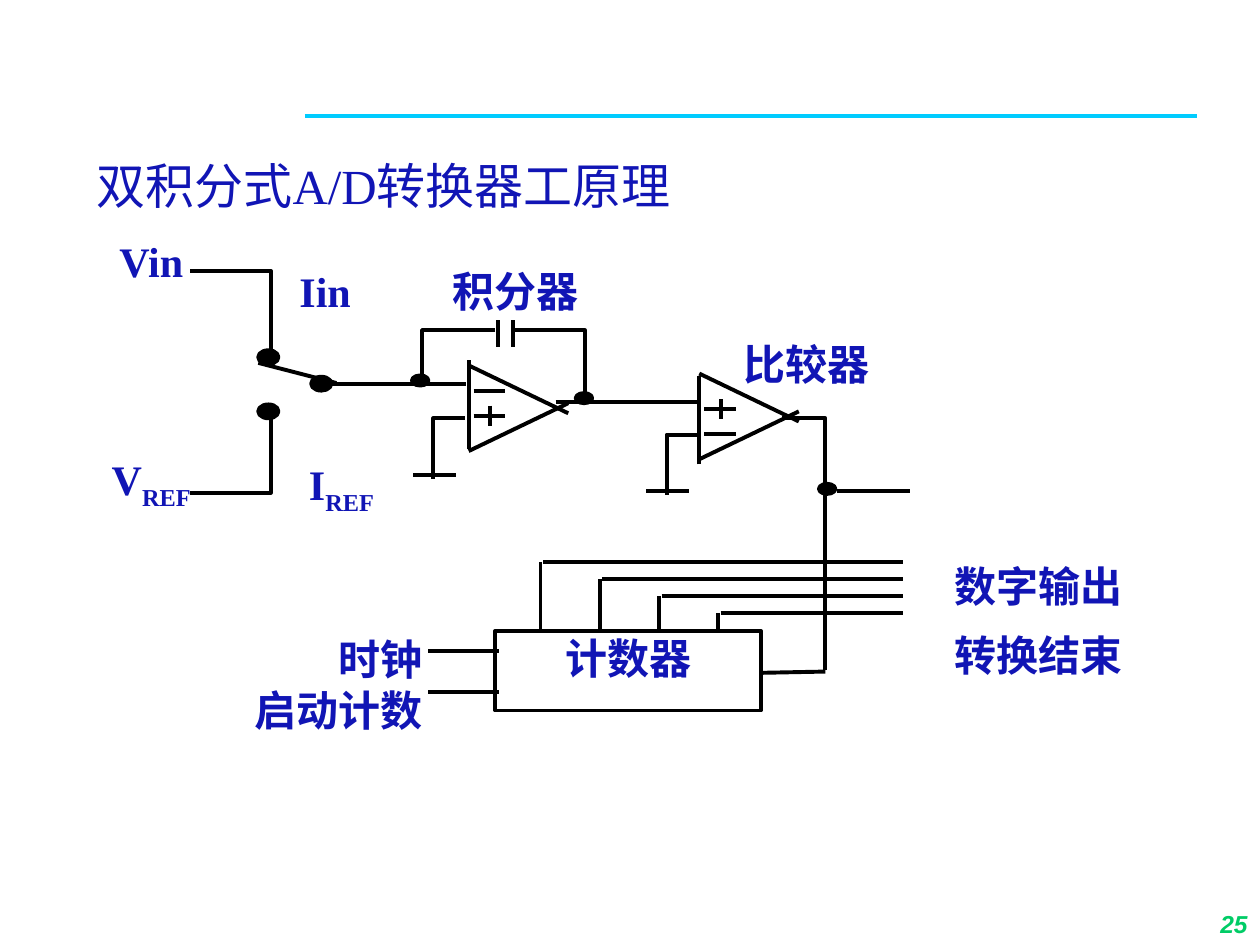
"""Build the slide on the dual-slope A/D converter; places are cells of a 1000 by 750 grid."""
import pptx
import pptx.dml.color
import pptx.enum.shapes
import pptx.enum.text
import pptx.oxml.ns
import pptx.util
from lxml import etree

BLUE = pptx.dml.color.RGBColor(0x11, 0x15, 0xB5)
BLACK = pptx.dml.color.RGBColor(0, 0, 0)
CYAN = pptx.dml.color.RGBColor(0x00, 0xCC, 0xFF)
GREEN = pptx.dml.color.RGBColor(0x00, 0xCC, 0x66)
ALIGN = pptx.enum.text.PP_ALIGN
ANCHOR = pptx.enum.text.MSO_ANCHOR
SHAPES = pptx.enum.shapes.MSO_SHAPE
COLUMNS = 1000

LABEL = {"name": "Times New Roman", "size": pptx.util.Pt(24), "bold": True}
TITLE = {"name": "Times New Roman", "size": pptx.util.Pt(28), "bold": False}
NUMBER = {"name": "Arial", "size": pptx.util.Pt(14), "bold": True, "italic": True}

LABELS = [
    ("Vin", "", (59, 186, 122, 54)),
    ("V", "REF", (59, 359, 122, 54)),
    ("Iin", "", (197, 210, 122, 54)),
    ("I", "REF", (210, 363, 122, 55)),
    ("积分器", "", (315, 210, 188, 40)),
    ("比较器", "", (546, 268, 188, 40)),
    ("数字输出", "", (730, 444, 188, 40)),
    ("转换结束", "", (730, 499, 188, 40)),
]
INPUTS = ["时钟", "启动计数"]
COUNTER = (393, 501, 211, 63)

WIRES = [
    (205, 288, 267, 304),
    (256, 305, 370, 305),
    (441, 319, 555, 319),
    (340, 517, 396, 517),
    (340, 549, 396, 549),
    (655, 533, 605, 534),
    (664, 390, 722, 390),
    (395, 254, 395, 275),
    (407, 254, 407, 275),
]
BENDS = [
    [(215, 327), (215, 391), (151, 391)],
    [(215, 279), (215, 215), (151, 215)],
    [(393, 262), (335, 262), (335, 304)],
    [(407, 262), (464, 262), (464, 318)],
    [(655, 532), (655, 332), (621, 332)],
]
SWITCH_DOTS = [(247, 299), (205, 321), (205, 278)]
JUNCTIONS = [(327, 298), (457, 312), (650, 384)]
AMPLIFIERS = [(372, 324, 1), (555, 330.5, -1)]
AMPLIFIER_LINES = [
    (0, 34, 79, -4),
    (0, -34, 79, 4),
    (0, -38, 0, 32),
    (4, -14, 29, -14),
    (4, 6, 29, 6),
    (17, -2, 17, 14),
]
GROUNDS = [(369, 332), (554, 345)]
OUTPUT_COUNT, OUTPUT_STEP, OUTPUT_DROP = 4, 47, 13.5

deck = pptx.Presentation()
deck.slide_width = pptx.util.Inches(10)
deck.slide_height = pptx.util.Inches(7.5)
page = deck.slides.add_slide(deck.slide_layouts[6])
CELL = deck.slide_width / COLUMNS


def grid(*cells):
    return [round(cell * CELL) for cell in cells]


def stroke(item, colour=BLACK, width=2.25):
    item.line.color.rgb = colour
    item.line.width = pptx.util.Pt(width)


def wire(ends, colour=BLACK, width=2.25):
    line = page.shapes.add_connector(pptx.enum.shapes.MSO_CONNECTOR.STRAIGHT, *grid(*ends))
    stroke(line, colour, width)
    etree.SubElement(line._element.spPr, pptx.oxml.ns.qn("a:effectLst"))


def bend(points):
    builder = page.shapes.build_freeform(*grid(*points[0]))
    builder.add_line_segments([grid(*point) for point in points[1:]], close=False)
    path = builder.convert_to_shape()
    path.shadow.inherit = False
    path.fill.background()
    stroke(path)


def solid(kind, place, filled=True):
    shape = page.shapes.add_shape(kind, *grid(*place))
    shape.shadow.inherit = False
    if filled:
        shape.fill.solid()
        shape.fill.fore_color.rgb = BLACK
    else:
        shape.fill.background()
    stroke(shape)
    return shape


def span(para, words, style, colour):
    run = para.add_run()
    run.text = words
    for name, value in style.items():
        setattr(run.font, name, value)
    run.font.color.rgb = colour
    return run


def write(shape, lines, align=ALIGN.CENTER, style=LABEL, colour=BLUE,
          anchor=ANCHOR.TOP, margins=(1, 1)):
    frame = shape.text_frame
    frame.word_wrap = True
    frame.vertical_anchor = anchor
    frame.margin_left = frame.margin_right = grid(margins[0])[0]
    frame.margin_top = frame.margin_bottom = grid(margins[1])[0]
    for index, words in enumerate(lines):
        para = frame.add_paragraph() if index else frame.paragraphs[0]
        para.alignment = align
        span(para, words, style, colour)
    return frame.paragraphs[0]


def text_box(place, lines, **options):
    return write(page.shapes.add_textbox(*grid(*place)), lines, **options)


wire((242, 92, 950, 92), CYAN, 2)
heading = text_box((67, 92, 825, 116), ["双积分式A/D转换器工原理"], align=ALIGN.LEFT,
                   style=TITLE, anchor=ANCHOR.MIDDLE, margins=(10, 5))
heading.line_spacing = 0.9

for words, subscript, place in LABELS:
    para = text_box(place, [words])
    if subscript:
        lowered = span(para, subscript, LABEL, BLUE)
        lowered._r.get_or_add_rPr().set("baseline", "-25000")
text_box((130, 502, 206, 73), INPUTS, align=ALIGN.RIGHT)

for ends in WIRES:
    wire(ends)
for points in BENDS:
    bend(points)
for left, middle, side in AMPLIFIERS:
    for x1, y1, x2, y2 in AMPLIFIER_LINES:
        wire((left + x1, middle + side * y1, left + x2, middle + side * y2))
for x, y in GROUNDS:
    bend([(x, y), (x - 25, y), (x - 25, y + 48)])
    wire((x - 41, y + 45, x - 7, y + 45))
for index in range(OUTPUT_COUNT):
    x, y = 429 + index * OUTPUT_STEP, 446 + index * OUTPUT_DROP
    wire((x + 2, y, 717, y))
    wire((x, y, x, COUNTER[1] + 1))
for dots, size in ((SWITCH_DOTS, (16, 11)), (JUNCTIONS, (13, 8))):
    for corner in dots:
        solid(SHAPES.OVAL, corner + size)
write(solid(SHAPES.RECTANGLE, COUNTER, filled=False), ["计数器"])

text_box((792, 700, 208, 50), ["25"], align=ALIGN.RIGHT, style=NUMBER, colour=GREEN,
         anchor=ANCHOR.BOTTOM, margins=(10, 5))
deck.save("out.pptx")
